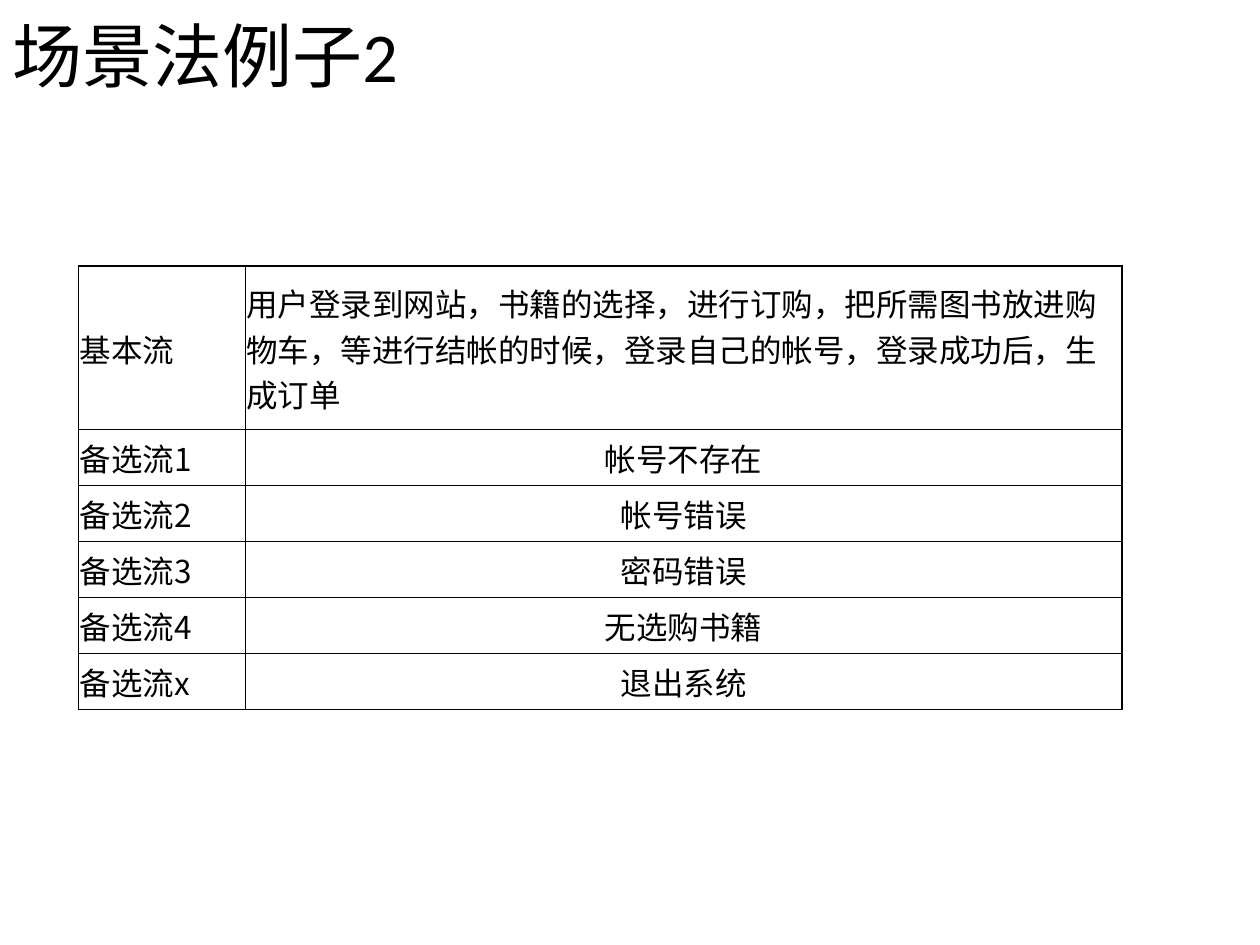
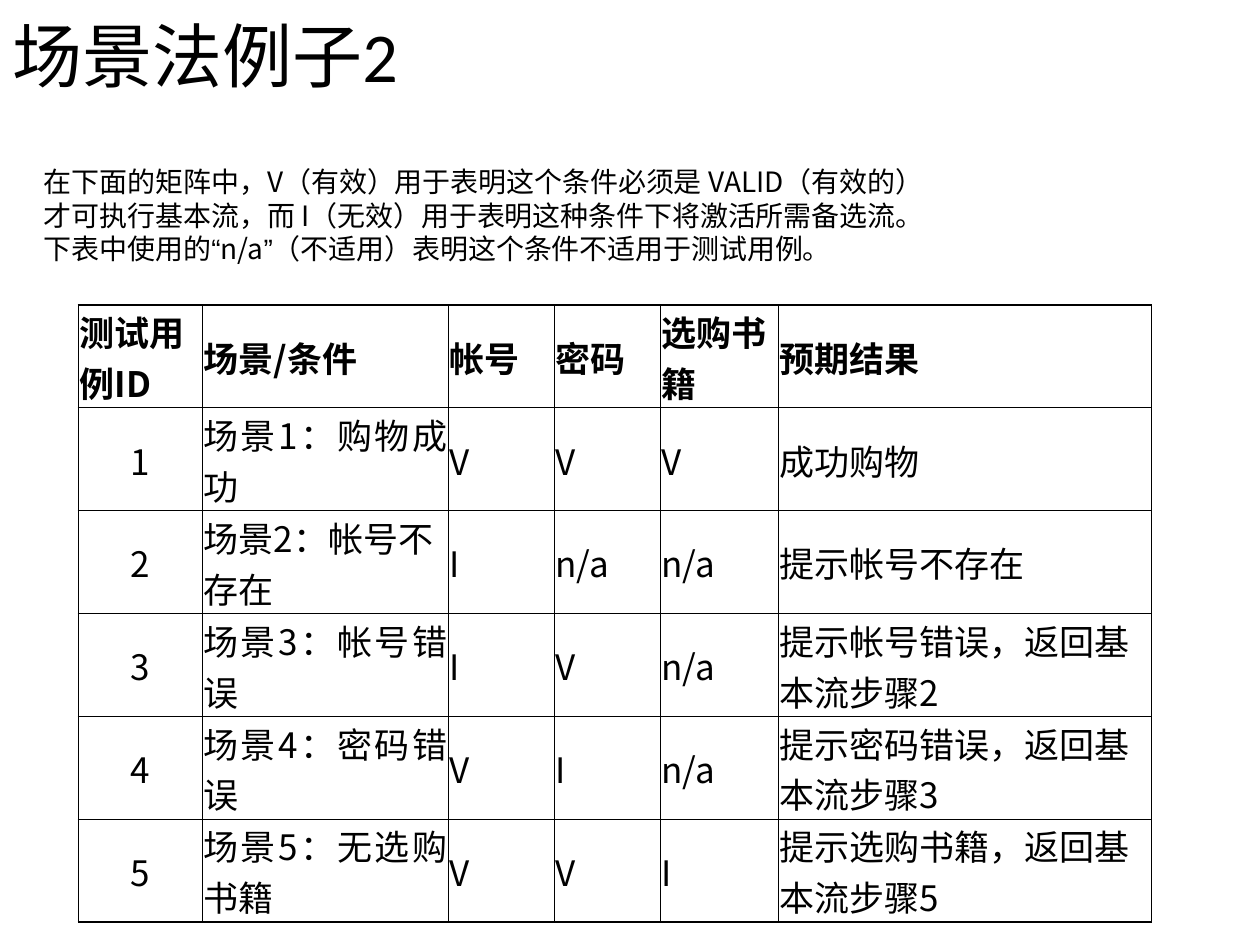
from lxml import etree
from pptx import Presentation
from pptx.dml.color import RGBColor
from pptx.enum import text
from pptx.oxml.ns import qn
from pptx.util import Pt

COLORS = {"ink": "000000"}
CJK, TITLE, SERIF, SANS = "Noto Sans CJK SC", "Calibri", "Times New Roman", "Arial"
LEFT, CENTER, JUSTIFY = (text.PP_ALIGN.LEFT, text.PP_ALIGN.CENTER,
                         text.PP_ALIGN.JUSTIFY)
HEADING = "场景法例子2"

FLOWS = [
    ("基本流", "用户登录到网站，书籍的选择，进行订购，把所需图书放进购物车，"
              "等进行结帐的时候，登录自己的帐号，登录成功后，生成订单"),
    ("备选流1", "帐号不存在"),
    ("备选流2", "帐号错误"),
    ("备选流3", "密码错误"),
    ("备选流4", "无选购书籍"),
    ("备选流x", "退出系统"),
]
CASES = [
    ("测试用例ID", "场景/条件", "帐号", "密码", "选购书籍", "预期结果"),
    ("1", "场景1：购物成功", "V", "V", "V", "成功购物"),
    ("2", "场景2：帐号不存在", "I", "n/a", "n/a", "提示帐号不存在"),
    ("3", "场景3：帐号错误", "I", "V", "n/a", "提示帐号错误，返回基本流步骤2"),
    ("4", "场景4：密码错误", "V", "I", "n/a", "提示密码错误，返回基本流步骤3"),
    ("5", "场景5：无选购书籍", "V", "V", "I", "提示选购书籍，返回基本流步骤5"),
]
NOTES = [
    [("在下面的矩阵中，", SERIF), ("V", CJK),
     ("（有效）用于表明这个条件必须是 ", SERIF), ("VALID", CJK), ("（有效的）", SERIF)],
    [("才可执行基本流，而 ", SERIF), ("I", CJK),
     ("（无效）用于表明这种条件下将激活所需备选流。", SERIF)],
    [("下表中使用的", SERIF), ("“", SANS), ("n/a", CJK), ("”", SANS),
     ("（不适用）表明这个条件不适用于测试用例。", SERIF)],
]


def style_run(r, size, font, bold=False):
    r.font.size, r.font.bold, r.font.name = Pt(size), bold, font
    r.font.color.rgb = RGBColor.from_string(COLORS["ink"])
    ea = etree.SubElement(r.font._element, qn("a:ea"))
    ea.set("typeface", SANS if font == SANS else CJK)


def set_borders(cell, widths):
    """Draw the left, right, top and bottom lines of a cell."""
    tcPr = cell._tc.get_or_add_tcPr()
    for i, (side, width) in enumerate(zip("LRTB", widths)):
        ln = etree.Element(qn(f"a:ln{side}"), w=str(Pt(width)))
        fill = etree.SubElement(ln, qn("a:solidFill"))
        etree.SubElement(fill, qn("a:srgbClr"), val=COLORS["ink"])
        tcPr.insert(i, ln)


def add_titled_slide(prs, box):
    s = prs.slides.add_slide(prs.slide_layouts[5])
    sp = s.shapes.title
    sp.left, sp.top, sp.width, sp.height = map(Pt, box)
    tf = sp.text_frame
    tf.text = HEADING
    tf.auto_size = text.MSO_AUTO_SIZE.NONE
    tf.vertical_anchor = text.MSO_ANCHOR.MIDDLE
    p = tf.paragraphs[0]
    p.alignment = LEFT
    style_run(p.runs[0], 40, TITLE)
    return s


def add_grid(s, left, top, cols, heights, rows, size, align, bold_head=False):
    """Add a ruled table; align(row, col) gives each cell's alignment."""
    n_rows, n_cols = len(rows), len(cols)
    tbl = s.shapes.add_table(n_rows, n_cols, Pt(left), Pt(top),
                             Pt(sum(cols)), Pt(sum(heights))).table
    tbl.first_row = tbl.horz_banding = False
    for col, width in zip(tbl.columns, cols):
        col.width = Pt(width)
    for row, height in zip(tbl.rows, heights):
        row.height = Pt(height)
    for i, values in enumerate(rows):
        for j, value in enumerate(values):
            cell = tbl.cell(i, j)
            cell.text = value
            cell.vertical_anchor = text.MSO_ANCHOR.MIDDLE
            cell.margin_left = cell.margin_right = cell.margin_top = Pt(0.7)
            cell.margin_bottom = 0
            cell.fill.background()
            p = cell.text_frame.paragraphs[0]
            p.alignment = align(i, j)
            style_run(p.runs[0], size, CJK, bold_head and i == 0)
            # Outer edges are heavier than inner ones
            outer = (j == 0, j == n_cols - 1, i == 0, i == n_rows - 1)
            set_borders(cell, [1 if edge else 0.5 for edge in outer])


def add_notes(s, box):
    tf = s.shapes.add_textbox(*map(Pt, box)).text_frame
    tf.word_wrap = True
    tf.vertical_anchor = text.MSO_ANCHOR.MIDDLE
    for i, pieces in enumerate(NOTES):
        p = tf.add_paragraph() if i else tf.paragraphs[0]
        p.line_spacing = Pt(19.2)
        p._p.get_or_add_pPr().set("indent", str(Pt(18)))
        for words, font in pieces:
            r = p.add_run()
            r.text = words
            style_run(r, 16, font)


def flow_align(i, j):
    return CENTER if i and j else LEFT


def case_align(i, j):
    if i and j == 0:
        return CENTER
    return JUSTIFY if j == 1 and i not in (0, 2) else LEFT


def main():
    prs = Presentation()
    prs.slide_width, prs.slide_height = Pt(720), Pt(540)
    title_box = (0, 5, 648, 52)

    # Flows
    s = add_titled_slide(prs, title_box)
    add_grid(s, 44.8, 152, [95.4, 501], [93.5] + [32] * 5, FLOWS, 18, flow_align)

    # Test case matrix
    s = add_titled_slide(prs, title_box)
    add_grid(s, 44.8, 174.2, [70.8, 140.6, 60.6, 60.6, 67.4, 213.2], [58.6] * 6,
             CASES, 20, case_align, bold_head=True)
    add_notes(s, (0, 90, 549.5, 65.5))

    prs.save("out.pptx")


if __name__ == "__main__":
    main()
